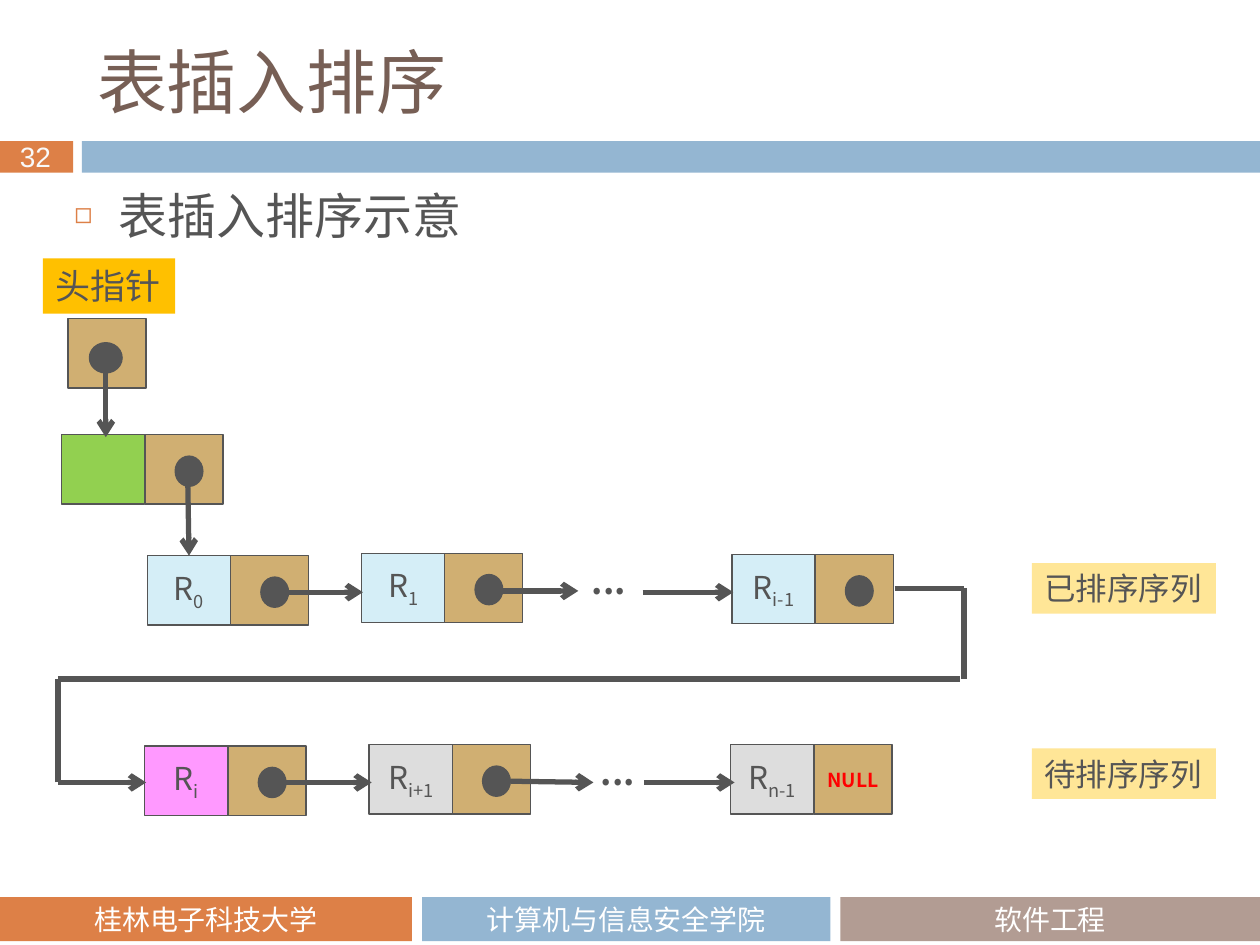
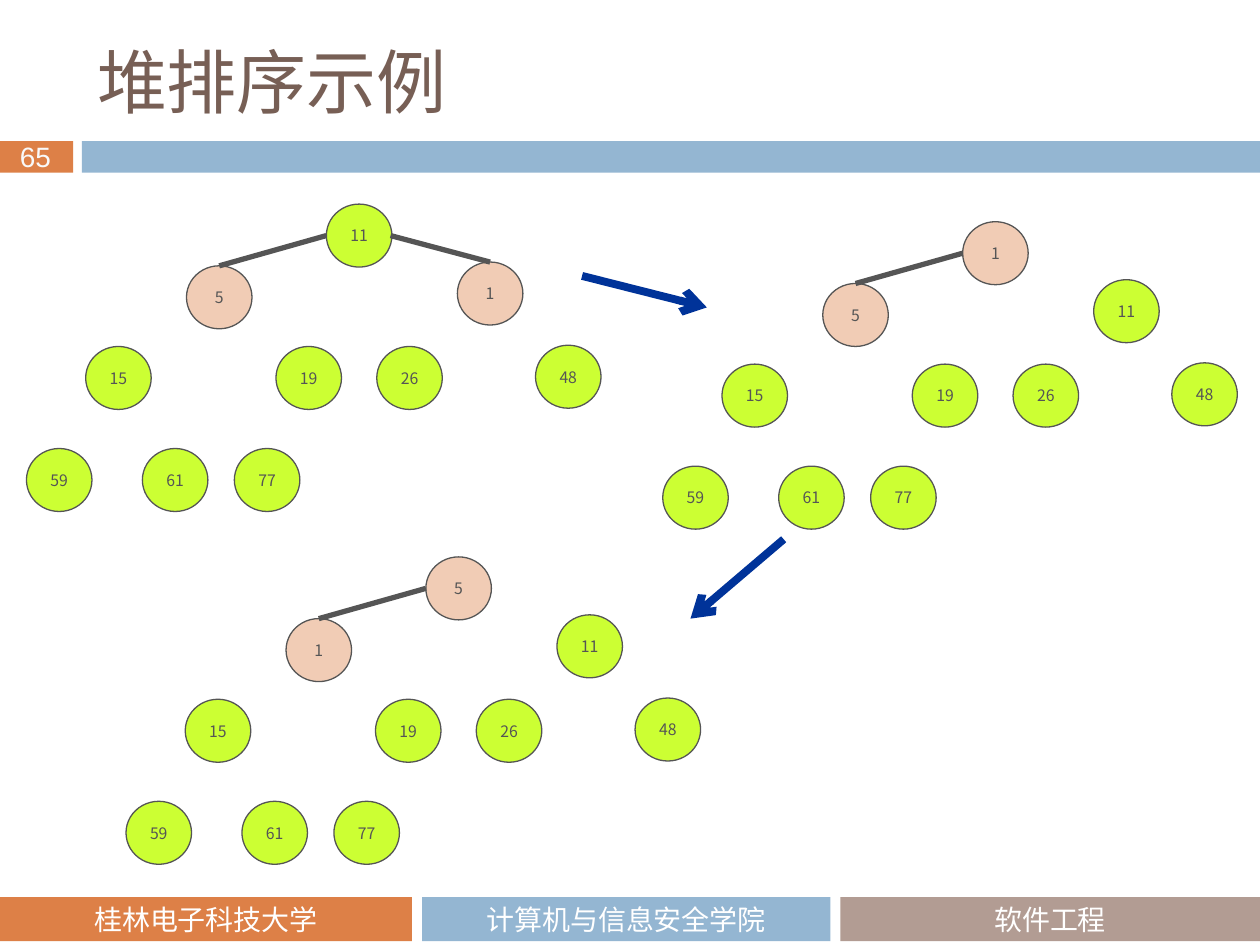
from dataclasses import dataclass
from typing import Any

from lxml import etree
from pptx import Presentation
from pptx.dml.color import RGBColor
from pptx.enum.shapes import MSO_CONNECTOR, MSO_SHAPE
from pptx.enum.text import MSO_ANCHOR, MSO_AUTO_SIZE, PP_ALIGN
from pptx.oxml.ns import qn
from pptx.util import Inches, Pt

RECT = MSO_SHAPE.RECTANGLE
OVAL = MSO_SHAPE.OVAL
STRAIGHT = MSO_CONNECTOR.STRAIGHT
LEFT = PP_ALIGN.LEFT
CENTER = PP_ALIGN.CENTER
TOP = MSO_ANCHOR.TOP
MIDDLE = MSO_ANCHOR.MIDDLE
NO_FIT = MSO_AUTO_SIZE.NONE

COLORS = {
    "ink": "555555", "title": "775F55", "white": "FFFFFF", "page": "F9F9F9",
    "orange": "DD8047", "blue": "94B6D2", "mauve": "B29C93",
    "pointer": "D0AF72", "header": "92D050", "sorted": "D5EEF7",
    "current": "FF99FF", "waiting": "DDDDDD", "null": "FF0000",
    "head_label": "FFC000", "row_label": "FFE697",
    "heap": "CCFF33", "active": "F1CCB5", "step": "003399",
}
SANS = "Noto Sans CJK SC"


@dataclass(frozen=True)
class Style:
    size: float
    color: str = "ink"
    font: str = SANS
    bold: bool = False
    align: Any = CENTER
    anchor: Any = MIDDLE
    wrap: bool = False


TITLE = Style(40, "title", "Noto Sans CJK JP", align=LEFT, wrap=True)
BODY = Style(28, align=LEFT, anchor=TOP, wrap=True)
FOOTER = Style(16, "white", "Cabin", wrap=True)
PAGE = Style(16, "page", "Arial", align=LEFT, anchor=TOP)
RECORD = Style(18)
NULL = Style(11, "null", bold=True)
HEAD_LABEL = Style(20, align=LEFT, anchor=TOP)
ROW_LABEL = Style(18, align=LEFT, anchor=TOP)
ELLIPSIS = Style(20, bold=True, align=LEFT, anchor=TOP)
HEAP_KEY = Style(9)


@dataclass(frozen=True)
class Box:
    left: float
    top: float
    width: float
    height: float

    def lengths(self) -> list:
        return [Inches(v) for v in (self.left, self.top, self.width, self.height)]


@dataclass(frozen=True)
class Band:
    box: Box
    color: str
    text: str = ""


@dataclass(frozen=True)
class Line:
    start: tuple[float, float]
    end: tuple[float, float]
    arrow: bool = True
    color: str = "ink"
    width: float = 3


@dataclass(frozen=True)
class Record:
    left: float
    top: float
    color: str
    index: str = ""
    is_last: bool = False


@dataclass(frozen=True)
class Heap:
    left: float
    top: float
    top_keys: tuple[int, int, int]
    edge_count: int


BANDS = [
    Band(Box(0, 1.12, 0.58, 0.25), "orange"),
    Band(Box(0.65, 1.12, 9.35, 0.25), "blue"),
    Band(Box(0, 7.12, 3.27, 0.35), "orange", "桂林电子科技大学"),
    Band(Box(3.35, 7.12, 3.24, 0.35), "blue", "计算机与信息安全学院"),
    Band(Box(6.67, 7.12, 3.33, 0.35), "mauve", "软件工程"),
]
TITLE_BOX = Box(0.67, 0.25, 8.92, 0.78)
BODY_BOX = Box(0.49, 1.47, 8.92, 0.73)
PAGE_BOX = Box(0.06, 1.06, 0.48, 0.37)

KEY_WIDTH, POINTER_WIDTH, CELL_HEIGHT = 0.66, 0.62, 0.55
RECORDS = [
    Record(0.49, 3.45, "header"),
    Record(1.17, 4.41, "sorted", "0"),
    Record(2.87, 4.39, "sorted", "1"),
    Record(5.81, 4.4, "sorted", "i-1"),
    Record(1.15, 5.92, "current", "i"),
    Record(2.93, 5.91, "waiting", "i+1"),
    Record(5.8, 5.91, "waiting", "n-1", True),
]
LINKS = [
    Line((0.84, 2.93), (0.84, 3.47)),
    Line((1.49, 3.79), (1.5, 4.41)),
    Line((2.16, 4.7), (2.88, 4.7)),
    Line((3.87, 4.69), (4.59, 4.69)),
    Line((5.1, 4.7), (5.82, 4.7)),
    Line((7.1, 4.67), (7.65, 4.67), False),
    Line((7.65, 4.67), (7.65, 5.39), False),
    Line((0.46, 5.39), (7.62, 5.39), False),
    Line((0.46, 6.21), (0.46, 5.39), False),
    Line((0.46, 6.21), (1.16, 6.21)),
    Line((2.27, 6.21), (2.95, 6.21)),
    Line((4.05, 6.2), (4.71, 6.21)),
    Line((5.11, 6.21), (5.83, 6.21)),
]

HEAP_OFFSETS = [
    (0, 0), (-1.11, 0.49), (1.04, 0.46),
    (-1.91, 1.13), (-0.4, 1.13), (0.4, 1.13), (1.66, 1.12),
    (-2.38, 1.94), (-1.46, 1.94), (-0.73, 1.94),
]
LOWER_KEYS = (15, 19, 26, 48, 59, 61, 77)
ACTIVE_KEYS = (1, 5)
HEAP_EDGES = [((0, 0.25), (-0.85, 0.49)), ((0.51, 0.25), (1.3, 0.46))]
HEAPS = [
    Heap(2.59, 1.62, (11, 5, 1), 2),
    Heap(7.64, 1.76, (1, 5, 11), 1),
    Heap(3.38, 4.42, (5, 1, 11), 1),
]
STEPS = [
    Line((4.62, 2.19), (5.61, 2.44), color="step", width=4.5),
    Line((6.22, 4.28), (5.48, 4.91), color="step", width=4.5),
]


def rgb(name: str) -> RGBColor:
    return RGBColor.from_string(COLORS[name])


def apply(target: Any, values: dict) -> None:
    for attribute, value in values.items():
        setattr(target, attribute, value)


def write(shape: Any, text: str, style: Style, subscript: str = "") -> Any:
    frame = shape.text_frame
    apply(frame, {"word_wrap": style.wrap, "auto_size": NO_FIT,
                  "vertical_anchor": style.anchor})
    paragraph = frame.paragraphs[0]
    paragraph.alignment = style.align
    for part, baseline in ((text, 0), (subscript, -25000)):
        if not part:
            continue
        run = paragraph.add_run()
        run.text = part
        apply(run.font, {"size": Pt(style.size), "bold": style.bold,
                         "name": style.font})
        run.font.color.rgb = rgb(style.color)
        properties = run.font._element
        etree.SubElement(properties, qn("a:ea"), typeface=style.font)
        if baseline:
            properties.set("baseline", str(baseline))
    return paragraph


def add_block(slide: Any, box: Box, color: str, kind: Any = RECT,
              outlined: bool = True) -> Any:
    block = slide.shapes.add_shape(kind, *box.lengths())
    block.shadow.inherit = False
    block.fill.solid()
    block.fill.fore_color.rgb = rgb(color)
    if outlined:
        block.line.color.rgb = rgb("ink")
        block.line.width = Pt(0.75)
    else:
        block.line.fill.background()
    return block


def add_line(slide: Any, line: Line) -> None:
    ends = [Inches(v) for v in (*line.start, *line.end)]
    connector = slide.shapes.add_connector(STRAIGHT, *ends)
    connector.line.color.rgb = rgb(line.color)
    connector.line.width = Pt(line.width)
    if line.arrow:
        etree.SubElement(connector.line._ln, qn("a:tailEnd"), type="arrow")
    etree.SubElement(connector._element.spPr, qn("a:effectLst"))


def add_text(slide: Any, box: Box, text: str, style: Style) -> None:
    write(slide.shapes.add_textbox(*box.lengths()), text, style)


def place(placeholder: Any, box: Box) -> None:
    apply(placeholder, dict(zip(("left", "top", "width", "height"), box.lengths())))


def start_slide(deck: Any, layout: int, title: str, page: str) -> Any:
    slide = deck.slides.add_slide(deck.slide_layouts[layout])
    for band in BANDS:
        block = add_block(slide, band.box, band.color, outlined=False)
        if band.text:
            write(block, band.text, FOOTER)
    add_text(slide, PAGE_BOX, page, PAGE)
    place(slide.shapes.title, TITLE_BOX)
    write(slide.shapes.title, title, TITLE)
    return slide


def add_bullet(slide: Any, text: str) -> None:
    body = slide.placeholders[1]
    place(body, BODY_BOX)
    paragraph = write(body, text, BODY)
    properties = paragraph._p.get_or_add_pPr()
    properties.set("marL", str(Inches(0.35)))
    properties.set("indent", str(Inches(-0.35)))
    color = etree.SubElement(properties, qn("a:buClr"))
    etree.SubElement(color, qn("a:srgbClr"), val=COLORS["orange"])
    etree.SubElement(properties, qn("a:buSzPct"), val="60000")
    etree.SubElement(properties, qn("a:buChar"), char="◻")
    apply(paragraph, {"line_spacing": Pt(30), "space_before": Pt(0)})


def add_record(slide: Any, record: Record) -> None:
    key = add_block(slide, Box(record.left, record.top, KEY_WIDTH, CELL_HEIGHT),
                    record.color)
    if record.index:
        write(key, "R", RECORD, record.index)
    pointer = add_block(slide, Box(record.left + KEY_WIDTH, record.top,
                                   POINTER_WIDTH, CELL_HEIGHT), "pointer")
    if record.is_last:
        write(pointer, "NULL", NULL)
    else:
        add_block(slide, Box(record.left + 0.9, record.top + 0.17, 0.22, 0.24),
                  "ink", OVAL)


def add_heap(slide: Any, heap: Heap) -> None:
    for key, (dx, dy) in zip(heap.top_keys + LOWER_KEYS, HEAP_OFFSETS):
        color = "active" if key in ACTIVE_KEYS else "heap"
        node = add_block(slide, Box(heap.left + dx, heap.top + dy, 0.52, 0.5),
                         color, OVAL)
        write(node, str(key), HEAP_KEY)
    for edge in HEAP_EDGES[:heap.edge_count]:
        start, end = [(heap.left + dx, heap.top + dy) for dx, dy in edge]
        add_line(slide, Line(start, end, False))


def build_list_slide(deck: Any) -> None:
    slide = start_slide(deck, 1, "表插入排序", "32")
    add_bullet(slide, "表插入排序示意")
    head_label = add_block(slide, Box(0.34, 2.05, 1.05, 0.44), "head_label",
                           outlined=False)
    write(head_label, "头指针", HEAD_LABEL)
    add_block(slide, Box(0.54, 2.53, POINTER_WIDTH, CELL_HEIGHT), "pointer")
    add_block(slide, Box(0.71, 2.72, 0.26, 0.24), "ink", OVAL)
    for record in RECORDS:
        add_record(slide, record)
    for link in LINKS:
        add_line(slide, link)
    for left, top in ((4.6, 4.39), (4.67, 5.91)):
        add_text(slide, Box(left, top, 0.47, 0.44), "...", ELLIPSIS)
    for top, text in ((4.47, "已排序序列"), (5.94, "待排序序列")):
        row_label = add_block(slide, Box(8.19, top, 1.46, 0.4), "row_label",
                              outlined=False)
        write(row_label, text, ROW_LABEL)


def build_heap_slide(deck: Any) -> None:
    slide = start_slide(deck, 5, "堆排序示例", "65")
    for heap in HEAPS:
        add_heap(slide, heap)
    for step in STEPS:
        add_line(slide, step)


def main() -> None:
    deck = Presentation()
    apply(deck, {"slide_width": Inches(10), "slide_height": Inches(7.5)})
    build_list_slide(deck)
    build_heap_slide(deck)
    deck.save("out.pptx")


if __name__ == "__main__":
    main()
